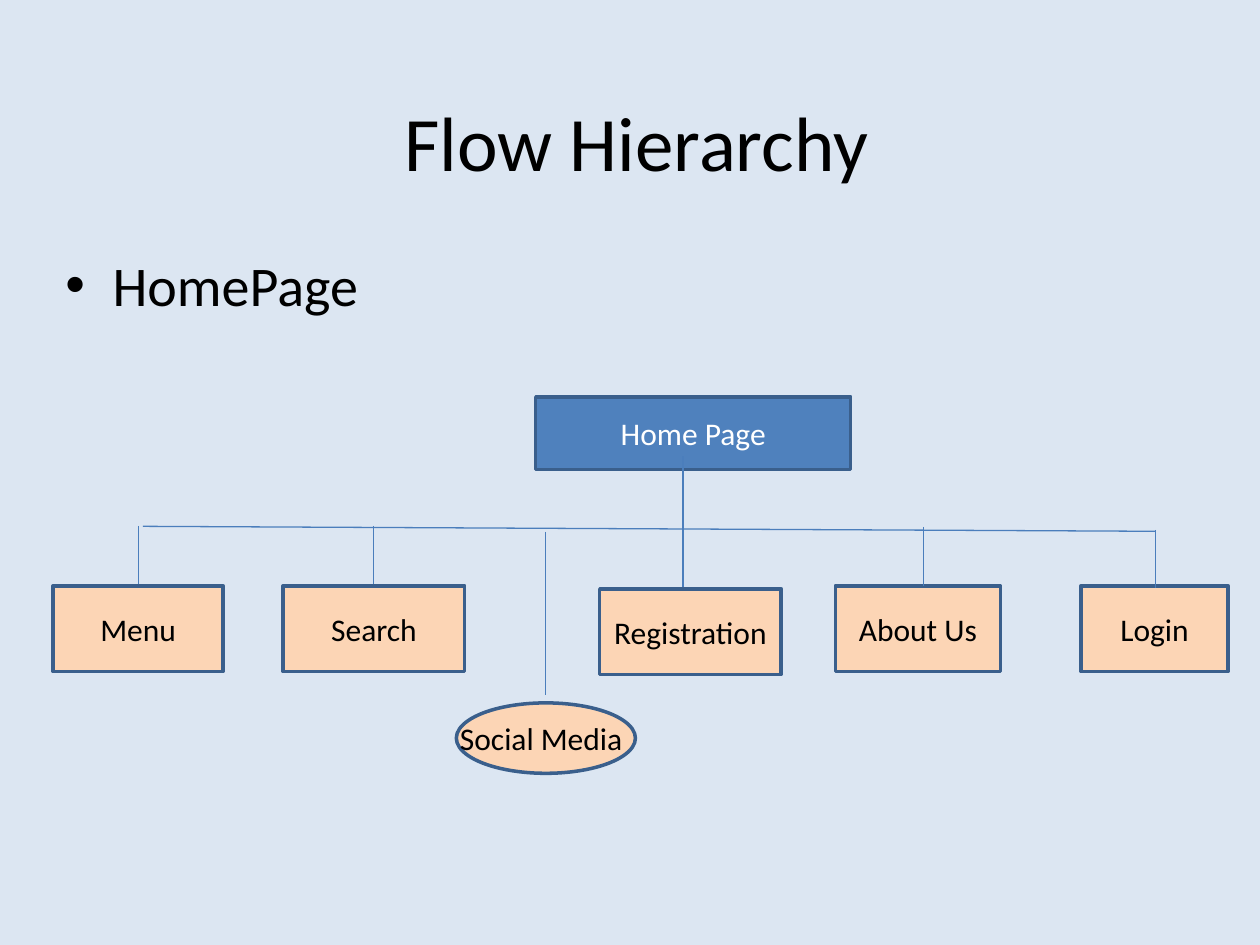
from dataclasses import dataclass

from lxml.etree import SubElement
from pptx import Presentation
from pptx.dml.color import RGBColor
from pptx.enum.shapes import MSO_CONNECTOR, MSO_SHAPE
from pptx.enum.text import MSO_ANCHOR, PP_ALIGN
from pptx.oxml.ns import qn
from pptx.util import Cm, Pt


@dataclass(frozen=True)
class Theme:
    font: str = "Calibri"
    background: str = "DCE6F2"
    text: str = "000000"
    light_text: str = "FFFFFF"
    root_fill: str = "4F81BD"
    child_fill: str = "FCD5B5"
    outline: str = "3A5F8C"
    connector: str = "4B7EBC"
    title_size: int = 44
    bullet_size: int = 32
    label_size: int = 18
    outline_width: float = 2
    connector_width: float = 0.75


THEME = Theme()

TITLE = ("Flow Hierarchy", (1.9, 1.24, 22.86, 3.18))
BULLET = ("HomePage", (1.07, 4.93, 23.7, 1.83))
ROOT = ("Home Page", (10.8, 8.0, 6.35, 1.47))
CHILD_TOP, CHILD_HEIGHT = 11.81, 1.73
CHILDREN = [
    ("Menu", 1.07, 3.43, 0),
    ("Search", 5.71, 3.66, 0),
    ("About Us", 16.84, 3.33, 0),
    ("Login", 21.79, 2.97, 0),
    ("Registration", 12.09, 3.66, 0.06),
]
ELLIPSE = (9.2, 14.17, 3.61, 1.42)
SOCIAL = ("Social Media", (8.99, 14.37, 3.84, 1.02))
BUS = (2.88, 10.61, 23.29, 10.71)
BACK_DROPS = [(2.79, 10.6, 11.81), (13.77, 10.6, 12.06), (7.53, 10.6, 11.81)]
FRONT_DROPS = [(18.62, 10.62, 11.81), (23.29, 10.68, 11.85),
               (11.0, 10.72, 14.02), (13.77, 9.2, 10.68)]


def write(shape, text, size, color, align=PP_ALIGN.CENTER, anchor=MSO_ANCHOR.MIDDLE):
    frame = shape.text_frame
    frame.text = text
    frame.word_wrap = True
    frame.vertical_anchor = anchor
    para = frame.paragraphs[0]
    para.alignment = align
    font = para.runs[0].font
    font.name, font.size = THEME.font, Pt(size)
    font.color.rgb = RGBColor.from_string(color)
    return frame


def add_text(page, text, place, size, **layout):
    box = page.shapes.add_textbox(*map(Cm, place))
    return write(box, text, size, THEME.text, **layout)


def add_node(page, kind, place, fill):
    node = page.shapes.add_shape(kind, *map(Cm, place))
    node.shadow.inherit = False
    node.fill.solid()
    node.fill.fore_color.rgb = RGBColor.from_string(fill)
    node.line.color.rgb = RGBColor.from_string(THEME.outline)
    node.line.width = Pt(THEME.outline_width)
    return node


def add_line(page, *ends):
    line = page.shapes.add_connector(MSO_CONNECTOR.STRAIGHT, *map(Cm, ends))
    line.line.color.rgb = RGBColor.from_string(THEME.connector)
    line.line.width = Pt(THEME.connector_width)
    SubElement(line._element.spPr, qn("a:effectLst"))


def add_drops(page, drops):
    for x, top, bottom in drops:
        add_line(page, x, top, x, bottom)


def add_bullet(para):
    properties = para._p.get_or_add_pPr()
    properties.set("marL", str(Cm(0.95)))
    properties.set("indent", str(-Cm(0.95)))
    SubElement(properties, qn("a:buFont"), typeface="Arial")
    SubElement(properties, qn("a:buChar"), char="•")


def main():
    deck = Presentation()
    deck.slide_width, deck.slide_height = Cm(25.4), Cm(19.05)
    page = deck.slides.add_slide(deck.slide_layouts[6])
    page.background.fill.solid()
    page.background.fill.fore_color.rgb = RGBColor.from_string(THEME.background)

    title = add_text(page, *TITLE, THEME.title_size)
    title.margin_right = Cm(1.25)
    bullet = add_text(page, *BULLET, THEME.bullet_size,
                      align=PP_ALIGN.LEFT, anchor=MSO_ANCHOR.TOP)
    add_bullet(bullet.paragraphs[0])

    add_line(page, *BUS)
    add_drops(page, BACK_DROPS)
    label, place = ROOT
    root = add_node(page, MSO_SHAPE.RECTANGLE, place, THEME.root_fill)
    write(root, label, THEME.label_size, THEME.light_text)
    for label, left, width, offset in CHILDREN:
        place = (left, CHILD_TOP + offset, width, CHILD_HEIGHT)
        child = add_node(page, MSO_SHAPE.RECTANGLE, place, THEME.child_fill)
        write(child, label, THEME.label_size, THEME.text)
    add_drops(page, FRONT_DROPS)

    add_node(page, MSO_SHAPE.OVAL, ELLIPSE, THEME.child_fill)
    social = add_text(page, *SOCIAL, THEME.label_size, anchor=MSO_ANCHOR.TOP)
    social.word_wrap = False

    deck.save("out.pptx")


if __name__ == "__main__":
    main()
